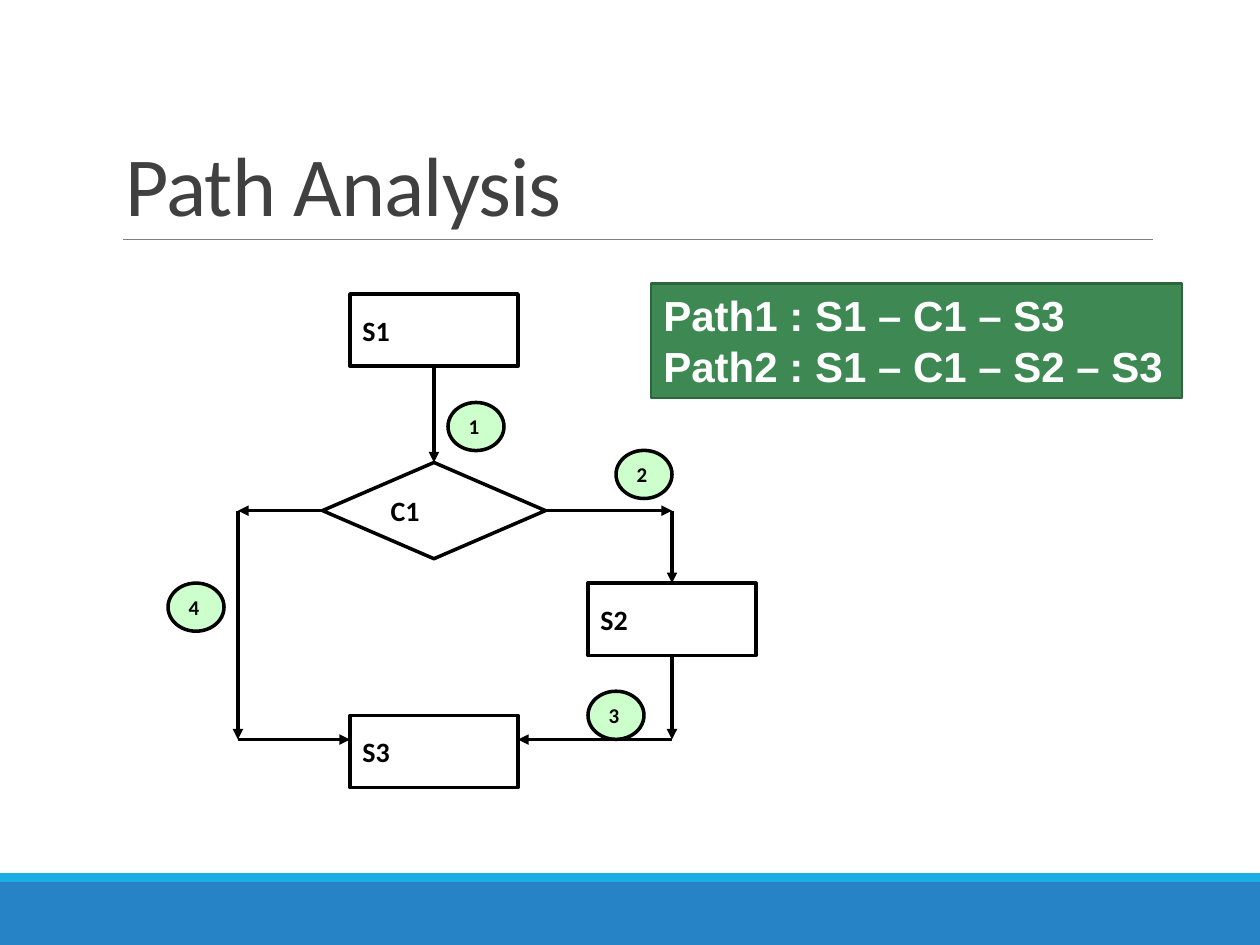
from pptx import Presentation
from pptx.dml.color import RGBColor
from pptx.enum.shapes import MSO_CONNECTOR, MSO_SHAPE
from pptx.enum.text import MSO_ANCHOR, PP_ALIGN
from pptx.oxml.ns import qn
from pptx.util import Pt
from lxml import etree

RECT, DIAMOND, OVAL = MSO_SHAPE.RECTANGLE, MSO_SHAPE.DIAMOND, MSO_SHAPE.OVAL
STRAIGHT = MSO_CONNECTOR.STRAIGHT
TOP, MIDDLE, BOTTOM = MSO_ANCHOR.TOP, MSO_ANCHOR.MIDDLE, MSO_ANCHOR.BOTTOM
LEFT = PP_ALIGN.LEFT

BLACK = RGBColor(0x00, 0x00, 0x00)
WHITE = RGBColor(0xFF, 0xFF, 0xFF)
DARK = RGBColor(0x40, 0x40, 0x40)
GRAY = RGBColor(0x80, 0x80, 0x80)
BLUE = RGBColor(0x26, 0x83, 0xC6)
CYAN = RGBColor(0x1C, 0xAD, 0xE4)
MINT = RGBColor(0xCC, 0xFF, 0xCC)
GREEN = RGBColor(0x3E, 0x88, 0x53)
DARK_GREEN = RGBColor(0x2E, 0x65, 0x3D)

TITLE = dict(name="Calibri", size=Pt(48), bold=False)
NODE = dict(name="Calibri", size=Pt(16), bold=True)
BADGE = dict(name="Calibri", size=Pt(12), bold=True)
PATHS = dict(name="Arial", size=Pt(24), bold=True)


class Deck:
    def __init__(self, width, height):
        self.prs = Presentation()
        self.prs.slide_width, self.prs.slide_height = Pt(width), Pt(height)
        self.s = self.prs.slides.add_slide(self.prs.slide_layouts[6])

    def set_text(self, tf, lines, fmt, color, anchor):
        tf.vertical_anchor = anchor
        for i, line in enumerate(lines):
            p = tf.paragraphs[0] if i == 0 else tf.add_paragraph()
            p.alignment = LEFT
            r = p.add_run()
            r.text = line
            for key, value in fmt.items():
                setattr(r.font, key, value)
            r.font.color.rgb = color

    def title(self, text, x, y, w, h):
        tf = self.s.shapes.add_textbox(Pt(x), Pt(y), Pt(w), Pt(h)).text_frame
        tf.word_wrap = True
        self.set_text(tf, [text], TITLE, DARK, BOTTOM)
        p = tf.paragraphs[0]
        p.line_spacing = 0.85
        p.runs[0]._r.get_or_add_rPr().set("spc", "-50")

    def shape(self, kind, x, y, w, h, fill, line=None, weight=2,
              lines=(), fmt=NODE, color=BLACK, anchor=MIDDLE):
        sp = self.s.shapes.add_shape(kind, Pt(x), Pt(y), Pt(w), Pt(h))
        sp.shadow.inherit = False
        sp.fill.solid()
        sp.fill.fore_color.rgb = fill
        if line is None:
            sp.line.fill.background()
        else:
            sp.line.color.rgb = line
            sp.line.width = Pt(weight)
        if lines:
            sp.text_frame.word_wrap = False
            self.set_text(sp.text_frame, lines, fmt, color, anchor)

    def line(self, start, end, color=BLACK, weight=2, arrow=True):
        points = [Pt(v) for v in (*start, *end)]
        c = self.s.shapes.add_connector(STRAIGHT, *points)
        c.line.color.rgb = color
        c.line.width = Pt(weight)
        props = c._element.spPr
        if arrow:
            etree.SubElement(props.find(qn("a:ln")), qn("a:tailEnd"), type="triangle")
        etree.SubElement(props, qn("a:effectLst"))


def main():
    deck = Deck(720, 540)

    # Footer bands, title and rule
    deck.shape(RECT, 0, 504, 720, 36, BLUE)
    deck.shape(RECT, 0, 499, 720, 5, CYAN)
    deck.line((70.5, 136.8), (659, 136.8), GRAY, 0.5, arrow=False)
    deck.title("Path Analysis", 64.8, 22.5, 594, 114.3)

    # Flowchart axes
    left, center, right = 136, 248, 384
    branch, merge = 291.8, 422.6

    # Statements and condition
    box_w, box_h = 96, 41.3
    s1_y, s2_y, s3_y = 168, 333.2, 408.8
    for label, cx, y in (("S1", center, s1_y), ("S3", center, s3_y), ("S2", right, s2_y)):
        deck.shape(RECT, cx - box_w / 2, y, box_w, box_h, WHITE, BLACK, lines=[label])
    cond_w, cond_h = 127.4, 55
    cond_y = branch - cond_h / 2
    deck.shape(DIAMOND, center - cond_w / 2, cond_y, cond_w, cond_h,
               WHITE, BLACK, lines=["C1"])

    # Flow arrows
    routes = (
        [(center, s1_y + box_h), (center, cond_y)],
        [(center - cond_w / 2, branch), (left, branch), (left, merge),
         (center - box_w / 2, merge)],
        [(center + cond_w / 2, branch), (right, branch), (right, s2_y)],
        [(right, s2_y + box_h), (right, merge), (center + box_w / 2, merge)],
    )
    for route in routes:
        for start, end in zip(route, route[1:]):
            deck.line(start, end)

    # Edge numbers
    for label, x, y in (("1", 256, 230), ("4", 96, 333.2), ("2", 352, 257.4), ("3", 336, 395)):
        deck.shape(OVAL, x, y, 32, 27.5, MINT, BLACK, lines=[label], fmt=BADGE)

    # Path list
    deck.shape(RECT, 372, 162, 303.4, 65.5, GREEN, DARK_GREEN, 1.25,
               ["Path1 : S1 – C1 – S3", "Path2 : S1 – C1 – S2 – S3"],
               PATHS, WHITE, TOP)

    deck.prs.save("out.pptx")


if __name__ == "__main__":
    main()
